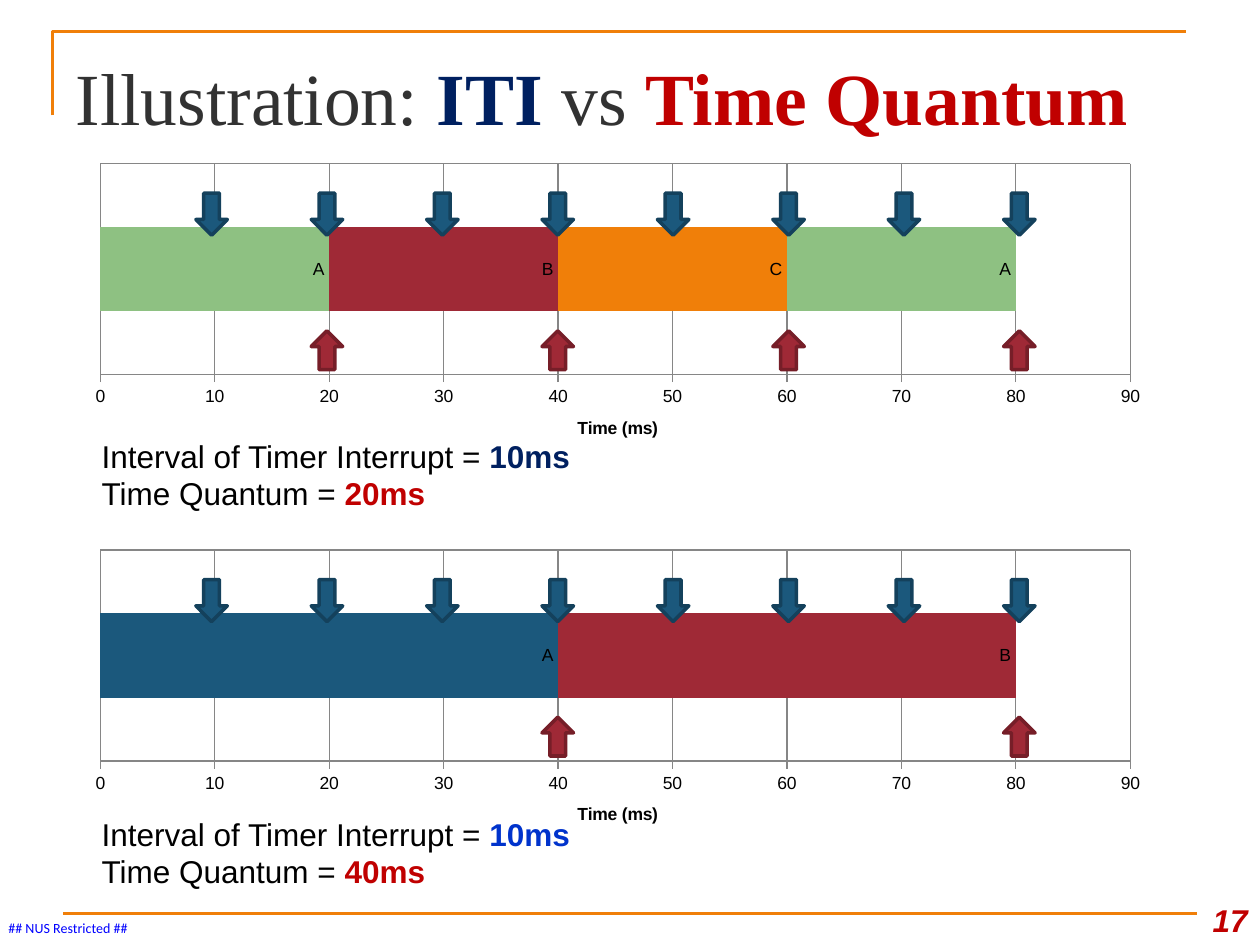
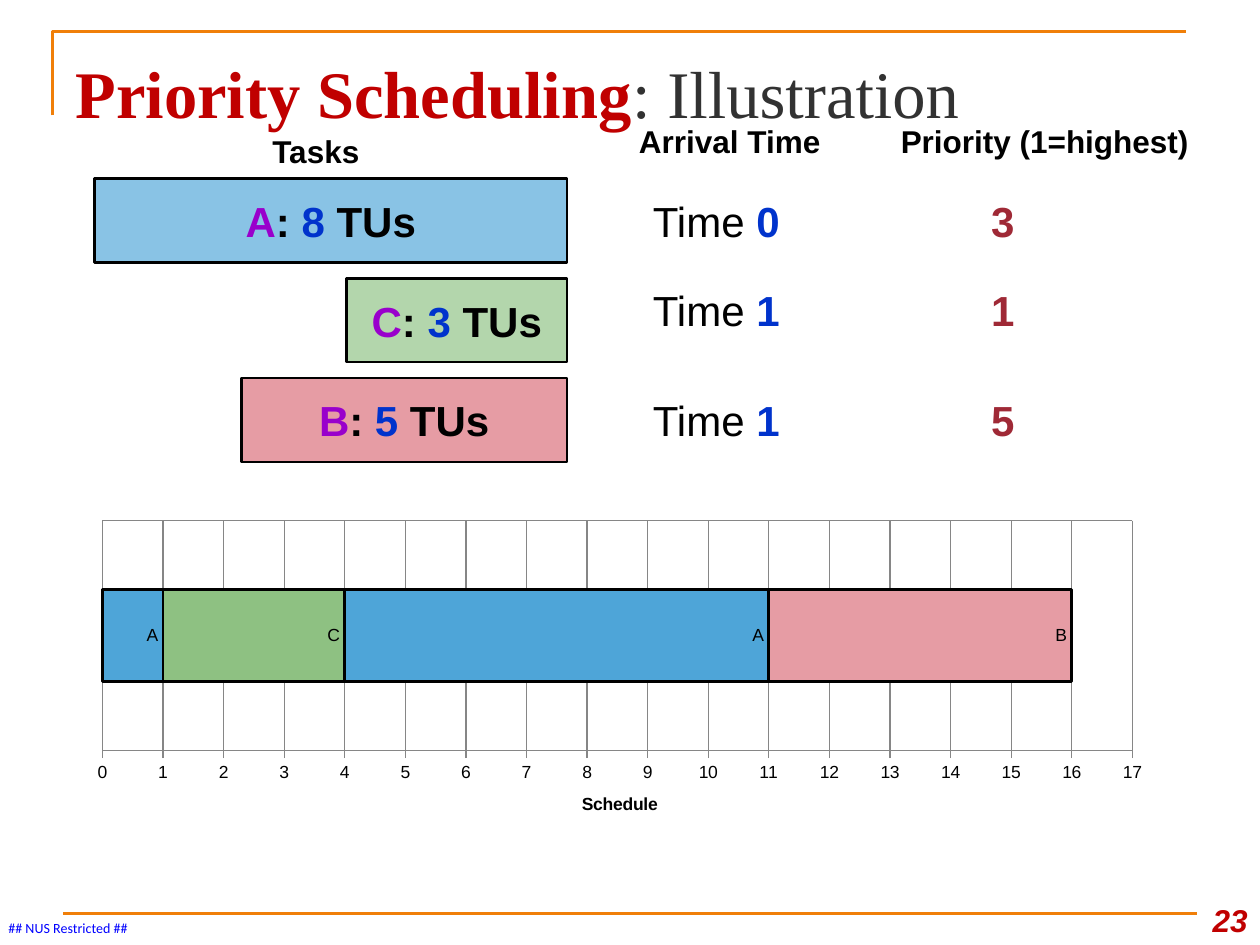
import dataclasses

import pptx
import pptx.chart.data
import pptx.dml.color
import pptx.enum.chart
import pptx.enum.shapes
import pptx.enum.text
import pptx.oxml
import pptx.oxml.ns
import pptx.util
from lxml import etree

ALIGN = pptx.enum.text.PP_ALIGN
ANCHOR = pptx.enum.text.MSO_ANCHOR
SHAPE = pptx.enum.shapes.MSO_SHAPE
COLUMNS, ROWS = 120, 90
UNIT = pptx.util.Inches(10) / COLUMNS


@dataclasses.dataclass(frozen=True)
class Theme:
    black: str = "000000"
    title: str = "323232"
    rule: str = "F07F09"
    grid: str = "868686"
    navy: str = "002060"
    blue: str = "0033CC"
    footer: str = "0000FF"
    red: str = "C00000"
    purple: str = "9900CC"
    teal: str = "1B587C"
    teal_edge: str = "14415C"
    crimson: str = "9F2936"
    crimson_edge: str = "761E28"
    orange: str = "F07F09"
    green: str = "8EC182"
    pale_green: str = "B3D6AC"
    sky: str = "4EA5D8"
    pale_sky: str = "89C3E5"
    pink: str = "E69CA4"
    body_font: str = "Arial"
    title_font: str = "Times New Roman"
    footer_font: str = "Calibri"
    tiny: int = 8
    small: int = 10
    text: int = 18
    large: int = 24
    thin: float = 0.75
    line: float = 1.5
    thick: float = 2


THEME = Theme()


def rgb(color):
    return pptx.dml.color.RGBColor.from_string(color)


def place(*lengths):
    return [pptx.util.Emu(round(length * UNIT)) for length in lengths]


def apply(target, values):
    for name, value in values.items():
        setattr(target, name, value)


def paint_line(line, color, width):
    line.color.rgb = rgb(color)
    line.width = pptx.util.Pt(width)


def paint_shape(shape, fill, edge, width):
    shape.shadow.inherit = False
    if fill:
        shape.fill.solid()
        shape.fill.fore_color.rgb = rgb(fill)
    else:
        shape.fill.background()
    paint_line(shape.line, edge, width)


def write(frame, lines, size, font=THEME.body_font, align=ALIGN.LEFT, italic=False):
    for number, spans in enumerate(lines):
        para = frame.add_paragraph() if number else frame.paragraphs[0]
        para.alignment = align
        for text, color, bold in spans:
            span = para.add_run()
            span.text = text
            apply(span.font, {"size": pptx.util.Pt(size), "name": font,
                              "bold": bold, "italic": italic})
            span.font.color.rgb = rgb(color)


def add_text(page, box, lines, size, anchor=ANCHOR.TOP, margin=None, **style):
    frame = page.shapes.add_textbox(*place(*box)).text_frame
    apply(frame, {"word_wrap": True, "vertical_anchor": anchor})
    if margin is not None:
        sides = ("margin_left", "margin_top", "margin_right", "margin_bottom")
        apply(frame, dict.fromkeys(sides, margin))
    write(frame, lines, size, **style)


def add_frame(page, box):
    left, top, width, height = box
    corner = place(left, top + 8, left, top, left + width, top)
    builder = page.shapes.build_freeform(corner[0], corner[1])
    builder.add_line_segments([corner[2:4], corner[4:6]], close=False)
    paint_shape(builder.convert_to_shape(), None, THEME.rule, THEME.line)

    bottom = top + height
    rule = page.shapes.add_connector(
        pptx.enum.shapes.MSO_CONNECTOR.STRAIGHT,
        *place(left + 1, bottom, left + 1 + width, bottom))
    paint_line(rule.line, THEME.rule, THEME.line)
    etree.SubElement(rule._element.spPr, pptx.oxml.ns.qn("a:effectLst"))


def add_page(deck, title, title_size, number):
    page = deck.slides.add_slide(deck.slide_layouts[5])
    add_frame(page, (5, 3, 108, 84))
    add_text(page, (0.8, 87.6, 12, 1.6), [[("## NUS Restricted ##", THEME.footer, False)]],
             THEME.tiny, margin=0, font=THEME.footer_font)
    add_text(page, (113, 84, 7, 6), [[(str(number), THEME.red, True)]], THEME.text,
             anchor=ANCHOR.BOTTOM, align=ALIGN.RIGHT, italic=True)

    heading = page.shapes.title
    sides = ("left", "top", "width", "height")
    apply(heading, dict(zip(sides, place(6, 3.6, 108, 9.4))))
    apply(heading.text_frame, {
        "vertical_anchor": ANCHOR.TOP, "word_wrap": True,
        "auto_size": pptx.enum.text.MSO_AUTO_SIZE.NONE,
        "margin_top": pptx.util.Inches(0.11)})
    write(heading.text_frame, [title], title_size, font=THEME.title_font)
    return page


def fix_plot_area(chart, box):
    width, height = box[2:]
    shares = {"x": 2.55 / width, "y": 0.6 / height,
              "w": (width - 5.6) / width, "h": (height - 9.1) / height}
    area = chart._chartSpace.chart.plotArea
    for old in area.findall(pptx.oxml.ns.qn("c:layout")):
        area.remove(old)
    parts = "".join(f'<c:{key} val="{share:.4f}"/>' for key, share in shares.items())
    area.insert(0, pptx.oxml.parse_xml(
        f'<c:layout {pptx.oxml.ns.nsdecls("c")}><c:manualLayout>'
        '<c:layoutTarget val="inner"/><c:xMode val="edge"/><c:yMode val="edge"/>'
        f'{parts}</c:manualLayout></c:layout>'))


def add_schedule(page, box, caption, step, end, bursts, edge=None):
    data = pptx.chart.data.CategoryChartData()
    data.categories = ["1"]
    for task, length, _ in bursts:
        data.add_series(task, [length])
    chart = page.shapes.add_chart(
        pptx.enum.chart.XL_CHART_TYPE.BAR_STACKED, *place(*box), data).chart
    apply(chart, {"has_legend": False, "has_title": False})
    apply(chart.font, {"size": pptx.util.Pt(THEME.small), "name": THEME.body_font})
    chart.font.color.rgb = rgb(THEME.black)
    fix_plot_area(chart, box)

    plot = chart.plots[0]
    apply(plot, {"gap_width": 150, "overlap": 100, "vary_by_categories": False})
    for series, (_, _, color) in zip(plot.series, bursts):
        series.format.fill.solid()
        series.format.fill.fore_color.rgb = rgb(color)
        if edge:
            paint_line(series.format.line, edge, THEME.line)
        apply(series.data_labels, {
            "show_series_name": True, "show_value": False,
            "position": pptx.enum.chart.XL_LABEL_POSITION.INSIDE_END})

    apply(chart.category_axis, {"visible": False, "has_major_gridlines": True})
    axis = chart.value_axis
    apply(axis, {
        "minimum_scale": 0, "maximum_scale": end, "major_unit": step,
        "has_major_gridlines": True, "has_title": True,
        "major_tick_mark": pptx.enum.chart.XL_TICK_MARK.OUTSIDE})
    for grid in (chart.category_axis.major_gridlines, axis.major_gridlines, axis):
        paint_line(grid.format.line, THEME.grid, THEME.thin)
    write(axis.axis_title.text_frame, [[(caption, THEME.black, True)]],
          THEME.small, align=ALIGN.CENTER)


def add_arrows(page, box, kind, ticks, top, height, fill, edge):
    for tick in ticks:
        center = box[0] + 2.16 + 10.99 * tick / 10
        arrow = page.shapes.add_shape(
            kind, *place(center - 1.5, box[1] + top, 3, height))
        paint_shape(arrow, fill, edge, THEME.thick)


def add_quantum_case(page, box, quantum, bursts, interval_color, caption_top):
    add_schedule(page, box, "Time (ms)", 10, 90, bursts)
    add_arrows(page, box, SHAPE.DOWN_ARROW, range(10, 81, 10), 3.4, 4,
               THEME.teal, THEME.teal_edge)
    add_arrows(page, box, SHAPE.UP_ARROW, range(quantum, 81, quantum), 16.5, 3.7,
               THEME.crimson, THEME.crimson_edge)
    add_text(page, (box[0] + 1.5, caption_top, 57, 8.5), [
        [("Interval of Timer Interrupt = ", THEME.black, False),
         ("10ms", interval_color, True)],
        [("Time Quantum = ", THEME.black, False), (f"{quantum}ms", THEME.red, True)],
    ], THEME.text)


def add_task(page, box, task, units, fill):
    bar = page.shapes.add_shape(SHAPE.RECTANGLE, *place(*box))
    paint_shape(bar, fill, THEME.black, THEME.line)
    apply(bar.text_frame, {"word_wrap": False, "vertical_anchor": ANCHOR.MIDDLE})
    write(bar.text_frame, [[(task, THEME.purple, True), (": ", THEME.black, True),
                            (str(units), THEME.blue, True),
                            (" TUs", THEME.black, True)]],
          THEME.large, align=ALIGN.CENTER)


def add_task_list(page, box):
    left, top, width = box
    headings = [("Tasks ", 11, 1, 21), ("Arrival Time", 50, 0, 21),
                ("Priority (1=highest)", 75, 0, 31)]
    for text, column, row, span in headings:
        add_text(page, (left + column, top + row, span, 4.8),
                 [[(text, THEME.black, True)]], THEME.text, align=ALIGN.CENTER)

    tasks = [("A", 8, 0, 3, THEME.pale_sky, 45, 7),
             ("C", 3, 1, 1, THEME.pale_green, 21, 15.5),
             ("B", 5, 1, 5, THEME.pink, 31, 26)]
    for row, (task, units, arrival, priority, fill, length, text_row) in enumerate(tasks):
        add_task(page, (left + width - length, top + 6 + 9.5 * row, length, 8),
                 task, units, fill)
        add_text(page, (left + 52, top + text_row, 19, 6),
                 [[("Time ", THEME.black, False), (str(arrival), THEME.blue, True)]],
                 THEME.large)
        add_text(page, (left + 77, top + text_row, 19, 6),
                 [[(str(priority), THEME.crimson, True)]], THEME.large,
                 align=ALIGN.CENTER)


def build_quantum_page(deck):
    title = [("Illustration: ", THEME.title, False), ("ITI", THEME.navy, True),
             (" vs ", THEME.title, False), ("Time Quantum", THEME.red, True)]
    page = add_page(deck, title, 42, 17)
    add_quantum_case(page, (7, 15, 103.7, 29.2), 20, [
        ("A", 20, THEME.green), ("B", 20, THEME.crimson),
        ("C", 20, THEME.orange), ("A", 20, THEME.green)], THEME.navy, 41)
    add_quantum_case(page, (7, 51.8, 103.7, 29.2), 40, [
        ("A", 40, THEME.teal), ("B", 40, THEME.crimson)], THEME.blue, 77)


def build_priority_page(deck):
    title = [("Priority Scheduling", THEME.red, True),
             (": Illustration", THEME.title, False)]
    page = add_page(deck, title, 38, 23)
    add_task_list(page, (9, 11, 45))
    add_schedule(page, (7.2, 49, 103.7, 31), "Schedule", 1, 17, [
        ("A", 1, THEME.sky), ("C", 3, THEME.green),
        ("A", 7, THEME.sky), ("B", 5, THEME.pink)], edge=THEME.black)


def main():
    deck = pptx.Presentation()
    deck.slide_width, deck.slide_height = place(COLUMNS, ROWS)
    build_quantum_page(deck)
    build_priority_page(deck)
    deck.save("out.pptx")


if __name__ == "__main__":
    main()
